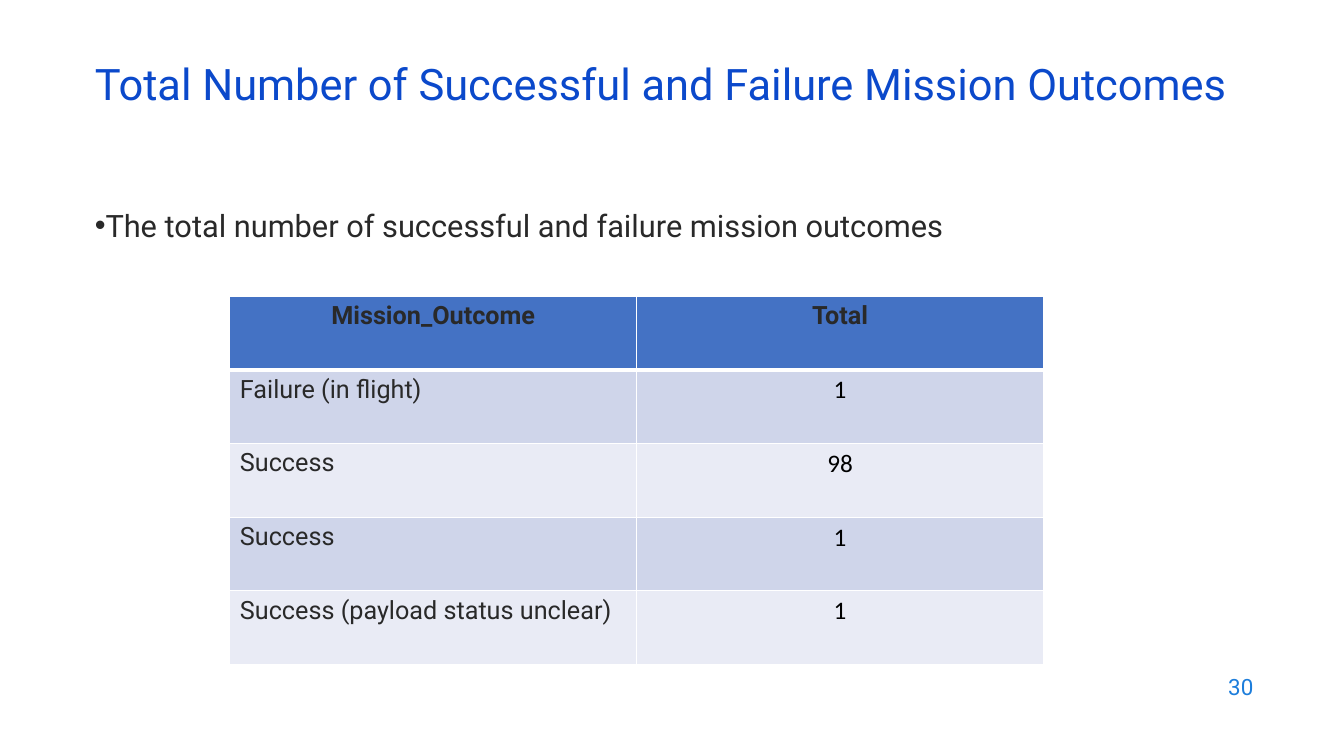
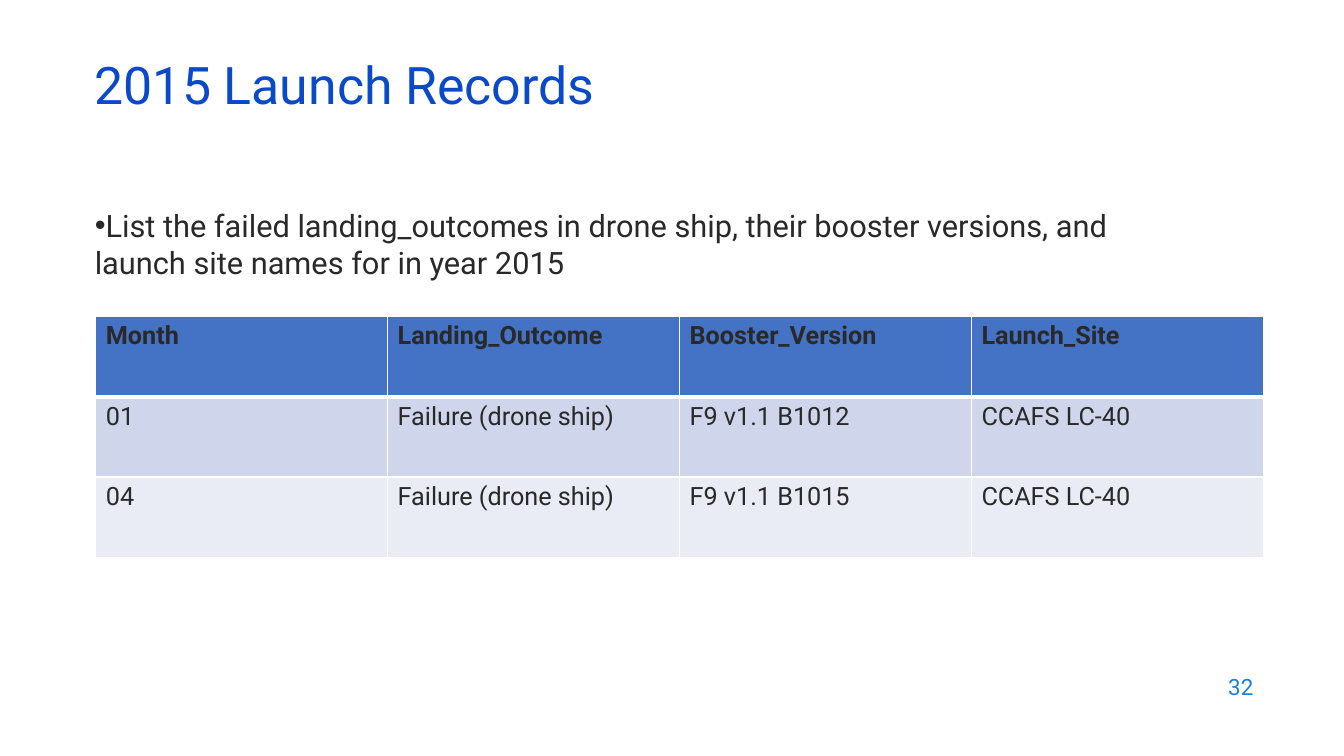
from dataclasses import dataclass

from lxml.etree import SubElement
from pptx import Presentation
from pptx.dml.color import RGBColor
from pptx.enum.text import MSO_ANCHOR, MSO_AUTO_SIZE, PP_ALIGN
from pptx.oxml.ns import qn
from pptx.util import Pt

PX = 9144


@dataclass(frozen=True)
class Theme:
    font: str = "Roboto"
    number_font: str = "Calibri"
    title: str = "0B49CB"
    text: str = "292929"
    number: str = "000000"
    page_number: str = "1C7DDB"
    border: str = "FFFFFF"
    header_fill: str = "4472C4"
    band_fills: tuple = ("CFD5EA", "E9EBF5")
    body_size: int = 22
    table_size: int = 18
    page_number_size: int = 16
    border_width: int = 1
    header_rule_width: int = 3


theme = Theme()

slides = [
    {
        "title": "Total Number of Successful and Failure Mission Outcomes",
        "title_size": 31,
        "title_spacing": 0.7,
        "body": "The total number of successful and failure mission outcomes",
        "page_number": "30",
        "table_box": (228, 294, 807, 365),
        "header_alignment": PP_ALIGN.CENTER,
        "number_columns": [1],
        "rows": [
            ["Mission_Outcome", "Total"],
            ["Failure (in flight)", "1"],
            ["Success", "98"],
            ["Success", "1"],
            ["Success (payload status unclear)", "1"],
        ],
    },
    {
        "title": "2015 Launch Records",
        "title_size": 37,
        "title_spacing": 0.8,
        "body": "List the failed landing_outcomes in drone ship, their booster versions, and launch site names for in year 2015",
        "page_number": "32",
        "table_box": (95, 314, 1158, 239),
        "header_alignment": PP_ALIGN.LEFT,
        "number_columns": [],
        "rows": [
            ["Month", "Landing_Outcome", "Booster_Version", "Launch_Site"],
            ["01", "Failure (drone ship)", "F9 v1.1 B1012", "CCAFS LC-40"],
            ["04", "Failure (drone ship)", "F9 v1.1 B1015", "CCAFS LC-40"],
        ],
    },
]


def write_text(paragraph, text, size, color, alignment=PP_ALIGN.LEFT, font=theme.font, bold=False):
    paragraph.alignment = alignment
    run = paragraph.add_run()
    run.text = text
    run.font.size = Pt(size)
    run.font.name = font
    run.font.bold = bold
    run.font.color.rgb = RGBColor.from_string(color)


def place(shape, left, top, width, height, anchor):
    shape.left, shape.top = left * PX, top * PX
    shape.width, shape.height = width * PX, height * PX
    frame = shape.text_frame
    frame.word_wrap = True
    frame.auto_size = MSO_AUTO_SIZE.NONE
    frame.vertical_anchor = anchor
    return frame.paragraphs[0]


presentation = Presentation()
presentation.slide_width = 1333 * PX
presentation.slide_height = 750 * PX

for content in slides:
    slide = presentation.slides.add_slide(presentation.slide_layouts[1])

    paragraph = place(slide.shapes.title, 84, 59, 1150, 60, MSO_ANCHOR.MIDDLE)
    paragraph.line_spacing = content["title_spacing"]
    write_text(paragraph, content["title"], content["title_size"], theme.title)

    paragraph = place(slide.placeholders[1], 84, 200, 1066, 476, MSO_ANCHOR.TOP)
    paragraph.space_before = Pt(0)
    properties = paragraph._p.get_or_add_pPr()
    properties.set("marL", "0")
    properties.set("indent", "0")
    SubElement(properties, qn("a:buChar"), char="•")
    write_text(paragraph, content["body"], theme.body_size, theme.text)

    page_number = slide.shapes.add_textbox(0, 0, PX, PX)
    paragraph = place(page_number, 953, 659, 300, 44, MSO_ANCHOR.MIDDLE)
    write_text(paragraph, content["page_number"], theme.page_number_size, theme.page_number, PP_ALIGN.RIGHT)

    rows = content["rows"]
    box = [length * PX for length in content["table_box"]]
    table = slide.shapes.add_table(len(rows), len(rows[0]), *box).table
    for row_index, row in enumerate(rows):
        is_header = row_index == 0
        for column_index, text in enumerate(row):
            cell = table.cell(row_index, column_index)
            cell_properties = cell._tc.get_or_add_tcPr()
            for side in ("L", "R", "T", "B"):
                is_header_rule = (row_index, side) in [(0, "B"), (1, "T")]
                width = theme.header_rule_width if is_header_rule else theme.border_width
                line = SubElement(cell_properties, qn(f"a:ln{side}"), w=str(Pt(width)))
                line_fill = SubElement(line, qn("a:solidFill"))
                SubElement(line_fill, qn("a:srgbClr"), val=theme.border)
            fill = theme.header_fill if is_header else theme.band_fills[(row_index - 1) % 2]
            cell.fill.solid()
            cell.fill.fore_color.rgb = RGBColor.from_string(fill)

            paragraph = cell.text_frame.paragraphs[0]
            if is_header:
                write_text(paragraph, text, theme.table_size, theme.text, content["header_alignment"], bold=True)
            elif column_index in content["number_columns"]:
                write_text(paragraph, text, theme.table_size, theme.number, PP_ALIGN.CENTER, theme.number_font)
            else:
                write_text(paragraph, text, theme.table_size, theme.text)

presentation.save("out.pptx")
